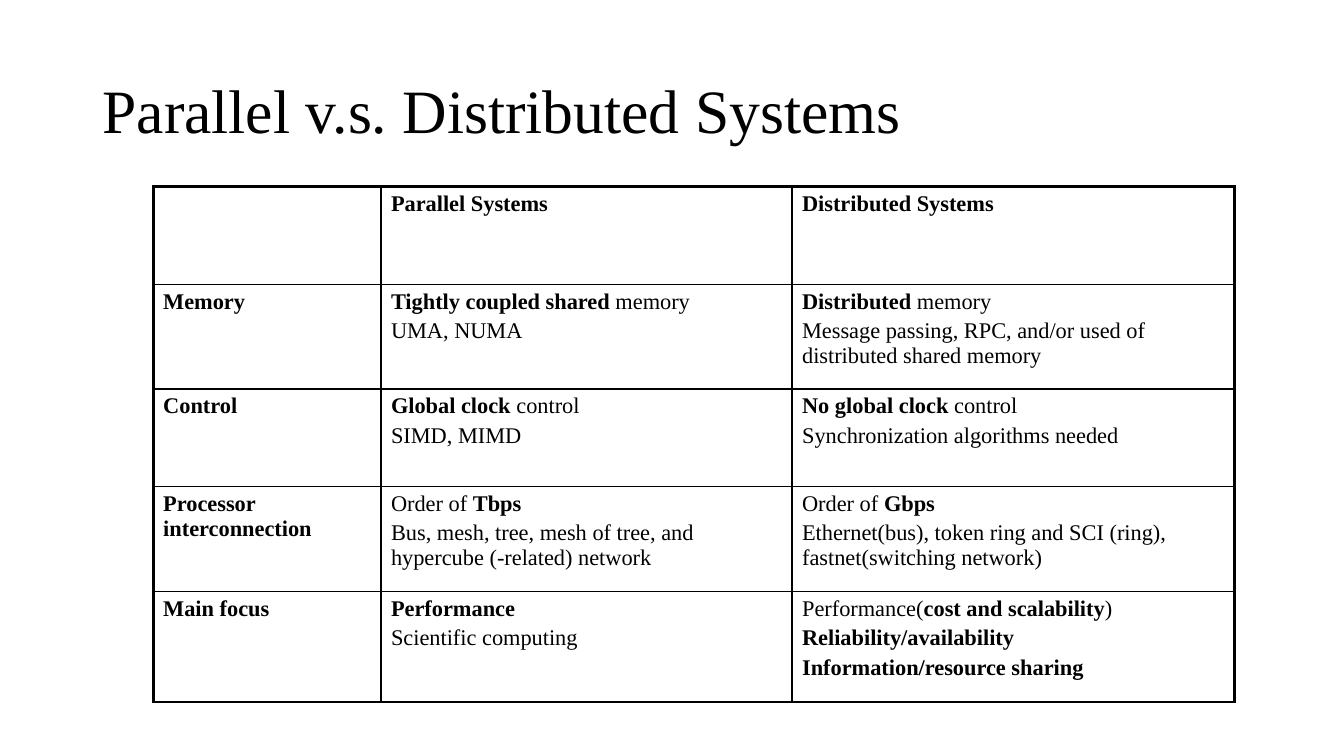
import pptx
import pptx.dml.color
import pptx.enum.text
import pptx.oxml
import pptx.oxml.ns
import pptx.util
from pptx.util import Cm, Pt

BLACK = pptx.dml.color.RGBColor(0, 0, 0)
FONT_NAME = "Times New Roman"
THIN, THICK = Pt(1), Pt(2.25)
COLUMN_WIDTHS = [5.74, 10.36, 11.15]
ROW_HEIGHTS = [2.46, 2.64, 2.46, 2.64, 2.79]
BOLD_MARK = "*"

COMPARISON = [
    [[], ["*Parallel Systems*"], ["*Distributed Systems*"]],
    [["*Memory*"],
     ["*Tightly coupled shared* memory", "UMA, NUMA"],
     ["*Distributed* memory",
      "Message passing, RPC, and/or used of distributed shared memory"]],
    [["*Control*"],
     ["*Global clock* control", "SIMD, MIMD"],
     ["*No global clock* control", "Synchronization algorithms needed"]],
    [["*Processor interconnection*"],
     ["Order of *Tbps*",
      "Bus, mesh, tree, mesh of tree, and hypercube (-related) network"],
     ["Order of *Gbps*",
      "Ethernet(bus), token ring and SCI (ring), fastnet(switching network)"]],
    [["*Main focus*"],
     ["*Performance*", "Scientific computing"],
     ["Performance(*cost and scalability*)", "*Reliability/availability*",
      "*Information/resource sharing*"]],
]


def style_font(font, size):
    font.name = FONT_NAME
    font.size = Pt(size)
    font.color.rgb = BLACK


def add_border(cell, side, width):
    line = pptx.oxml.parse_xml(
        f'<a:{side} {pptx.oxml.ns.nsdecls("a")} w="{width}"><a:solidFill>'
        f'<a:srgbClr val="{BLACK}"/></a:solidFill></a:{side}>')
    cell._tc.get_or_add_tcPr().append(line)


presentation = pptx.Presentation()
presentation.slide_width = Cm(33.87)
presentation.slide_height = Cm(19.05)
slide = presentation.slides.add_slide(presentation.slide_layouts[5])

title = slide.shapes.title
title.left, title.top, title.width, title.height = Cm(2.33), Cm(1.01), Cm(29.21), Cm(3.68)
title.text_frame.text = "Parallel v.s. Distributed Systems"
title.text_frame.vertical_anchor = pptx.enum.text.MSO_ANCHOR.MIDDLE
heading = title.text_frame.paragraphs[0]
heading.alignment = pptx.enum.text.PP_ALIGN.LEFT
heading.line_spacing = 0.9
style_font(heading.font, 44)

row_count, column_count = len(ROW_HEIGHTS), len(COLUMN_WIDTHS)
table = slide.shapes.add_table(
    row_count, column_count, Cm(3.86), Cm(4.7),
    Cm(sum(COLUMN_WIDTHS)), Cm(sum(ROW_HEIGHTS))).table
table.first_row = False
table.horz_banding = False
for column, width in zip(table.columns, COLUMN_WIDTHS):
    column.width = Cm(width)
for row, height in zip(table.rows, ROW_HEIGHTS):
    row.height = Cm(height)

for row_index, row_texts in enumerate(COMPARISON):
    for column_index, lines in enumerate(row_texts):
        cell = table.cell(row_index, column_index)
        outer_sides = {
            "lnL": column_index == 0,
            "lnR": column_index == column_count - 1,
            "lnT": row_index == 0,
            "lnB": row_index == row_count - 1,
        }
        for side, is_outer in outer_sides.items():
            add_border(cell, side, THICK if is_outer else THIN)
        cell.fill.background()

        for line_index, line in enumerate(lines):
            if line_index == 0:
                paragraph = cell.text_frame.paragraphs[0]
            else:
                paragraph = cell.text_frame.add_paragraph()
                paragraph.space_before = Pt(3.2)
            style_font(paragraph.font, 16)
            for part_index, part in enumerate(line.split(BOLD_MARK)):
                if part:
                    run = paragraph.add_run()
                    run.text = part
                    run.font.bold = part_index % 2 == 1

presentation.save("out.pptx")
